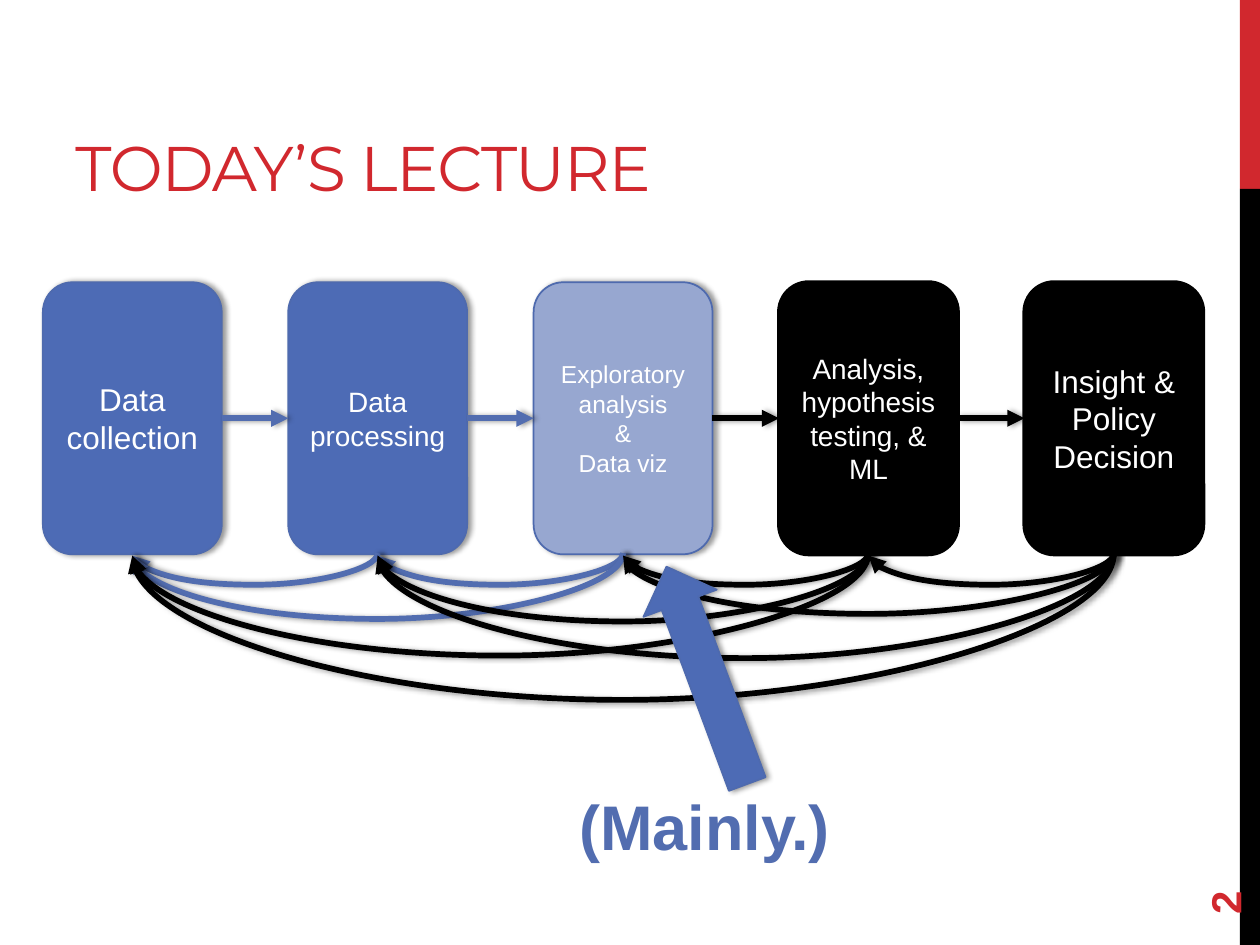
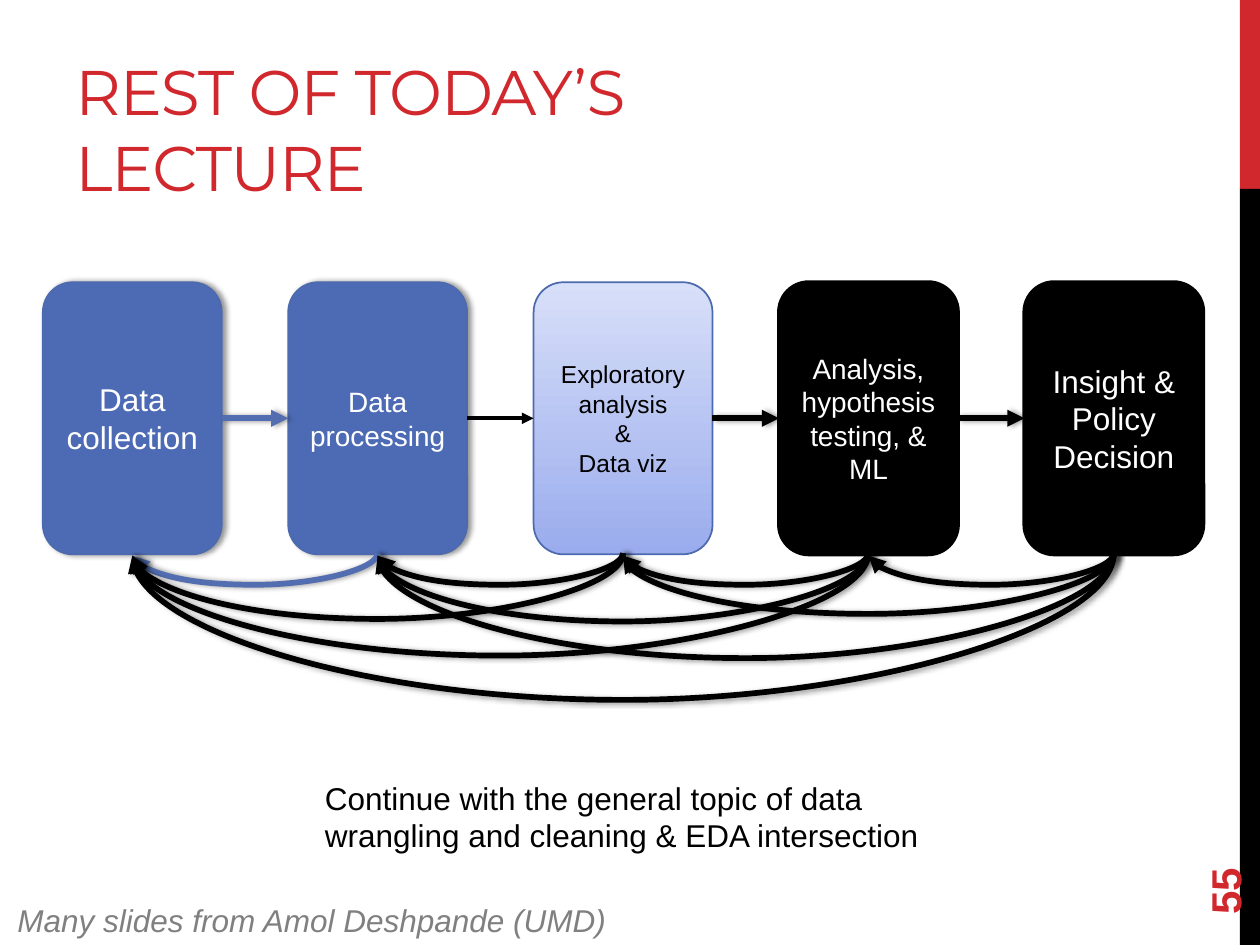
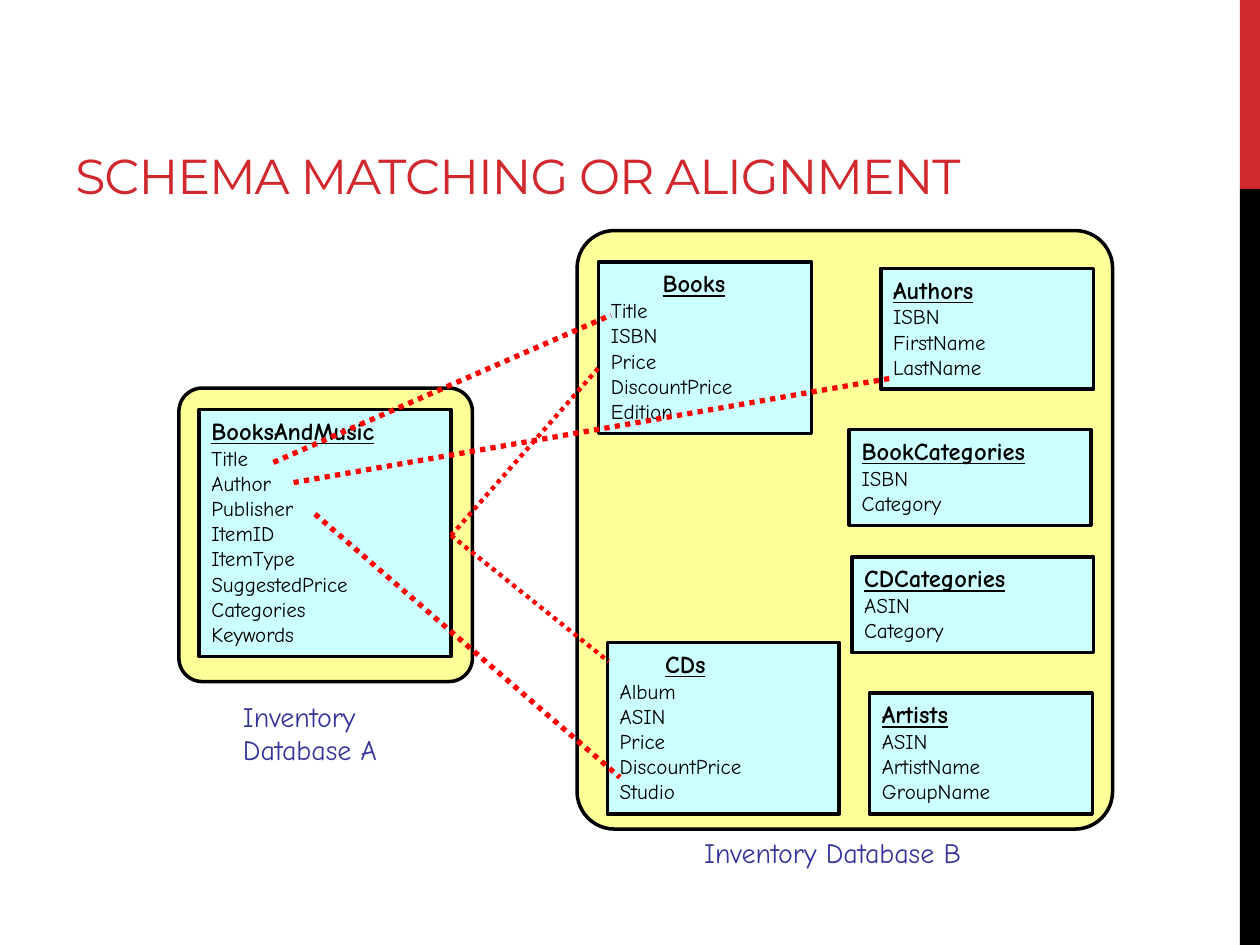
from lxml import etree
from pptx import Presentation
from pptx import util as u
from pptx.dml.color import RGBColor
from pptx.enum import dml, shapes, text
from pptx.oxml import ns

W, H = 10, 7.5
COLORS = {
    "red": "D1282E", "black": "000000", "white": "FFFFFF", "gray": "808080",
    "node": "4D6BB5", "edge": "4E6AAE", "link": "526DB0", "faded": "97A7D0",
    "grad_low": "9AACED", "grad_high": "D8DFF9", "frame": "FFFF99",
    "table": "CCFFFF", "caption": "333399", "match": "FF0000",
}
SANS, TITLE, COMIC = "Arial", "Montserrat", "Comic Neue"
SHAPE, LINK = shapes.MSO_SHAPE, shapes.MSO_CONNECTOR
STAGES = [
    ("Data collection", 18),
    ("Data processing", 16),
    ("Exploratory analysis\n&\nData viz", 14),
    ("Analysis, hypothesis testing, & ML", 16),
    ("Insight & Policy Decision", 18),
]
CURRENT = 2
PIPELINE_BOX = (0.34, 2.24, 9.21, 2.16)
NODE_W = 1.42
LOOP_RISE = 0.02
LOOP_DEPTHS = [[], [0.25], [0.52, 0.25], [0.81, 0.54, 0.25], [1.16, 0.83, 0.48, 0.25]]


def rgb(name):
    """Return the named colour."""
    return RGBColor.from_string(COLORS[name])


def sub(parent, tag, **attrs):
    """Append a DrawingML element."""
    return etree.SubElement(parent, ns.qn(tag), {k: str(v) for k, v in attrs.items()})


def set_effects(sp, shadow):
    """Replace the theme shadow by a soft one or by none."""
    pr = sp.element.spPr
    for old in pr.findall(ns.qn("a:effectLst")):
        pr.remove(old)
    effects = sub(pr, "a:effectLst")
    if shadow:
        outer = sub(effects, "a:outerShdw", blurRad=u.Pt(3.1), dist=u.Pt(1.8), dir=0, rotWithShape=0)
        sub(sub(outer, "a:srgbClr", val=COLORS["black"]), "a:alpha", val=40000)


def write(sp, content, size, color, font=SANS, align=None, anchor=text.MSO_ANCHOR.TOP,
          bold=False, italic=False):
    """Fill a shape with one paragraph per line of content."""
    tf = sp.text_frame
    tf.word_wrap = True
    tf.vertical_anchor = anchor
    tf.text = content
    for p in tf.paragraphs:
        p.alignment = align or text.PP_ALIGN.LEFT
        f = p.font
        f.name, f.size, f.bold, f.italic = font, u.Pt(size), bold, italic
        f.color.rgb = rgb(color)
    return tf


def add_text(s, box, content, size, color, **style):
    """Add a wrapped text box."""
    sp = s.shapes.add_textbox(*map(u.Inches, box))
    write(sp, content, size, color, **style)
    return sp


def add_box(s, kind, box, fill, line=None, width=1, shadow=False):
    """Add a preset shape with a solid fill."""
    sp = s.shapes.add_shape(kind, *map(u.Inches, box))
    sp.fill.solid()
    sp.fill.fore_color.rgb = rgb(fill)
    if line:
        sp.line.color.rgb = rgb(line)
        sp.line.width = u.Pt(width)
    else:
        sp.line.fill.background()
    set_effects(sp, shadow)
    return sp


def add_line(s, kind, start, end, color, width, arrow=False, shadow=False):
    """Add a connector, with an arrowhead at its end if wanted."""
    c = s.shapes.add_connector(kind, *map(u.Inches, (*start, *end)))
    c.line.color.rgb = rgb(color)
    c.line.width = u.Pt(width)
    if arrow:
        sub(c.line._get_or_add_ln(), "a:tailEnd", type="triangle")
    set_effects(c, shadow)
    return c


def add_loop(s, right, left, y, depth, color):
    """Add a curved arrow that hangs below y and runs back to the left."""
    mid, half, span = (right + left) / 2, LOOP_RISE / 2, (right - left) / 2
    c = add_line(s, LINK.CURVE, (mid - half, y - span), (mid + half, y + span),
                 color, 3.25, arrow=True, shadow=True)
    pr = c.element.spPr
    pr.find(ns.qn("a:xfrm")).set("rot", str(90 * 60000))
    guides = pr.find(ns.qn("a:prstGeom")).find(ns.qn("a:avLst"))
    sub(guides, "a:gd", name="adj1", fmla=f"val {round(depth / LOOP_RISE * 100000)}")


def add_base(prs, title, title_w=6.33, size=36, number=None):
    """Add a slide with side bands, title and page number."""
    s = prs.slides.add_slide(prs.slide_layouts[6])
    band_w, split = 0.016 * W, 0.2 * H
    add_box(s, SHAPE.RECTANGLE, (W - band_w, 0, band_w, split), "red")
    add_box(s, SHAPE.RECTANGLE, (W - band_w, split, band_w, H - split), "black")
    head = add_text(s, (0.5, 0.17, title_w, 1.5), title, size, "red", font=TITLE,
                    anchor=text.MSO_ANCHOR.BOTTOM)
    for r in head.text_frame.paragraphs[0].runs:
        r._r.get_or_add_rPr().set("spc", "-60")
    if number:
        page = add_text(s, (9, 6.44, 1.44, 0.4), number, 24, "red", bold=True,
                        anchor=text.MSO_ANCHOR.MIDDLE)
        page.rotation = 270
    return s


def add_stage(s, box, index, in_progress):
    """Add one stage of the pipeline in the style of its progress."""
    label, size = STAGES[index]
    ink = "white"
    if index > CURRENT:
        sp = add_box(s, SHAPE.ROUNDED_RECTANGLE, box, "black", "black", 2.25)
    elif index < CURRENT or in_progress:
        fill = "node" if index < CURRENT else "faded"
        sp = add_box(s, SHAPE.ROUNDED_RECTANGLE, box, fill, "edge", shadow=True)
    else:
        sp = add_box(s, SHAPE.ROUNDED_RECTANGLE, box, "grad_low", "edge")
        sp.fill.gradient()
        sp.fill.gradient_angle = 90
        for stop, position, color in zip(sp.fill.gradient_stops, (0, 1), ("grad_low", "grad_high")):
            stop.position = position
            stop.color.rgb = rgb(color)
        ink = "black"
    write(sp, label, size, ink, align=text.PP_ALIGN.CENTER, anchor=text.MSO_ANCHOR.MIDDLE)


def add_pipeline(s, box, in_progress):
    """Add the five stages, the arrows between them and the loops back."""
    x, y, w, h = box
    pitch = (w - NODE_W) / (len(STAGES) - 1)
    reached = CURRENT if in_progress else CURRENT - 1
    for i, depths in enumerate(LOOP_DEPTHS):
        left = x + i * pitch
        add_stage(s, (left, y, NODE_W, h), i, in_progress)
        color = "link" if i <= reached else "black"
        if i:
            upcoming = i == CURRENT and not in_progress
            add_line(s, LINK.STRAIGHT, (left - pitch + NODE_W, y + h / 2), (left, y + h / 2),
                     color, 2.25 if upcoming else 3.25, arrow=True, shadow=not upcoming)
        center = left + NODE_W / 2
        for j in reversed(range(i)):
            add_loop(s, center, center - (i - j) * pitch, y + h, depths[j], color)


def add_table_card(s, box, name, fields, indent=0, rule_end=0):
    """Add a database table with an underlined name above its fields."""
    sp = add_box(s, SHAPE.RECTANGLE, box, "table", "black", 2)
    heading = name + "\t" if rule_end else name
    tf = write(sp, "\n".join([heading, *fields.split()]), 12, "black", font=COMIC)
    p = tf.paragraphs[0]
    if rule_end:
        pr = p._p.get_or_add_pPr()
        pr.set("marL", "0")
        pr.set("indent", str(u.Inches(indent)))
        tabs = etree.Element(ns.qn("a:tabLst"))
        sub(tabs, "a:tab", pos=u.Inches(rule_end), algn="l")
        pr.insert(0, tabs)
    p.font.size, p.font.bold, p.font.underline = u.Pt(14), True, True


def add_schemas(s):
    """Add both databases with their tables, captions and matches."""
    for box, radius in (((4.58, 1.83, 4.25, 4.75), 0.07), ((1.42, 3.08, 2.33, 2.33), 0.08)):
        sp = add_box(s, SHAPE.ROUNDED_RECTANGLE, box, "frame", "black", 2)
        sp.adjustments[0] = radius
    cards = [
        ((1.58, 3.25, 2, 1.96), "BooksAndMusic",
         "Title Author Publisher ItemID ItemType SuggestedPrice Categories Keywords"),
        ((4.75, 2.08, 1.69, 1.36), "Books", "Title ISBN Price DiscountPrice Edition", 0.41, 1.39),
        ((4.82, 5.1, 1.84, 1.36), "CDs", "Album ASIN Price DiscountPrice Studio", 0.36, 1.17),
        ((6.74, 3.41, 1.92, 0.76), "BookCategories", "ISBN Category"),
        ((6.76, 4.42, 1.92, 0.76), "CDCategories", "ASIN Category"),
        ((6.9, 5.5, 1.77, 0.96), "Artists", "ASIN ArtistName GroupName"),
        ((6.99, 2.13, 1.69, 0.96), "Authors", "ISBN FirstName LastName"),
    ]
    for card in cards:
        add_table_card(s, *card)
    add_text(s, (1.83, 5.5, 1.92, 0.64), "Inventory\nDatabase A", 16, "caption", font=COMIC)
    add_text(s, (5.49, 6.58, 2.76, 0.37), "Inventory Database B", 16, "caption", font=COMIC)
    matches = [
        ((2.17, 3.67), (4.85, 2.5), 3),
        ((2.5, 4.08), (4.92, 6.17), 3),
        ((2.33, 3.83), (7.08, 3), 3),
        ((3.58, 4.25), (4.75, 2.92), 2.5),
        ((3.58, 4.25), (4.83, 5.25), 2.5),
    ]
    for start, end, width in matches:
        c = add_line(s, LINK.STRAIGHT, start, end, "match", width)
        c.line.dash_style = dml.MSO_LINE.ROUND_DOT


def build_today(prs):
    """Build the slide that points at the current stage."""
    s = add_base(prs, "TODAY’S LECTURE", number="2")
    add_pipeline(s, PIPELINE_BOX, in_progress=True)
    pointer = add_box(s, SHAPE.UP_ARROW, (5.3, 4.44, 0.62, 1.84), "node", "edge", shadow=True)
    pointer.rotation = 339.6
    add_text(s, (4.5, 6.2, 3.9, 0.71), "(Mainly.)", 36, "link", bold=True)


def build_rest(prs):
    """Build the slide on the rest of the lecture."""
    s = add_base(prs, "REST OF TODAY’S LECTURE", number="55")
    add_pipeline(s, PIPELINE_BOX, in_progress=False)
    add_text(s, (2.48, 6.13, 5.38, 1.01),
             "Continue with the general topic of data wrangling and cleaning & EDA intersection",
             18, "black")
    add_text(s, (0.04, 7.1, 5.38, 0.4), "Many slides from Amol Deshpande (UMD)", 18, "gray", italic=True)


def build_matching(prs):
    """Build the slide on schema matching."""
    add_schemas(add_base(prs, "SCHEMA MATCHING OR ALIGNMENT", title_w=8.54, size=28))


def main():
    """Build and save the slides."""
    prs = Presentation()
    prs.slide_width, prs.slide_height = u.Inches(W), u.Inches(H)
    for build in (build_today, build_rest, build_matching):
        build(prs)
    prs.save("out.pptx")


if __name__ == "__main__":
    main()
